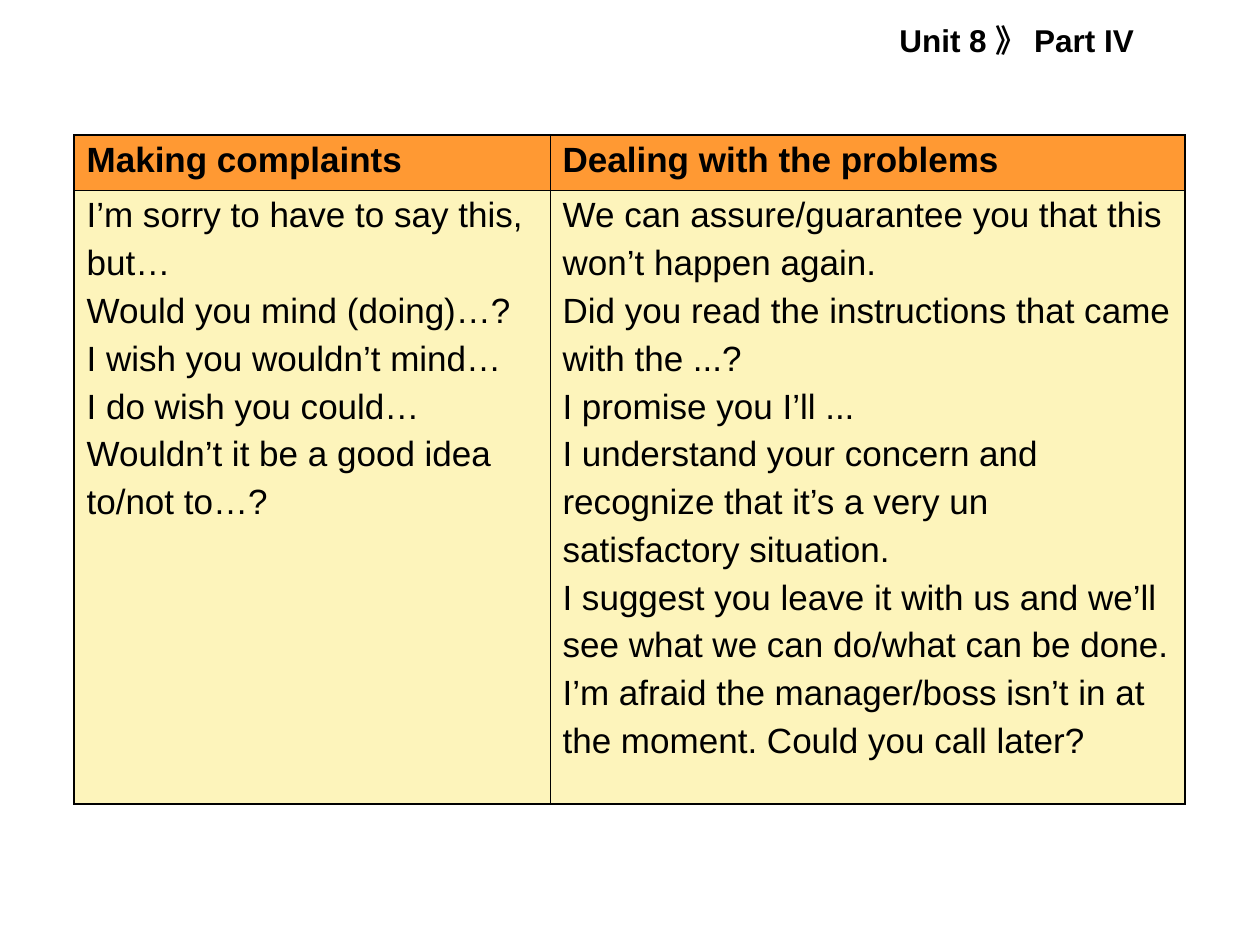
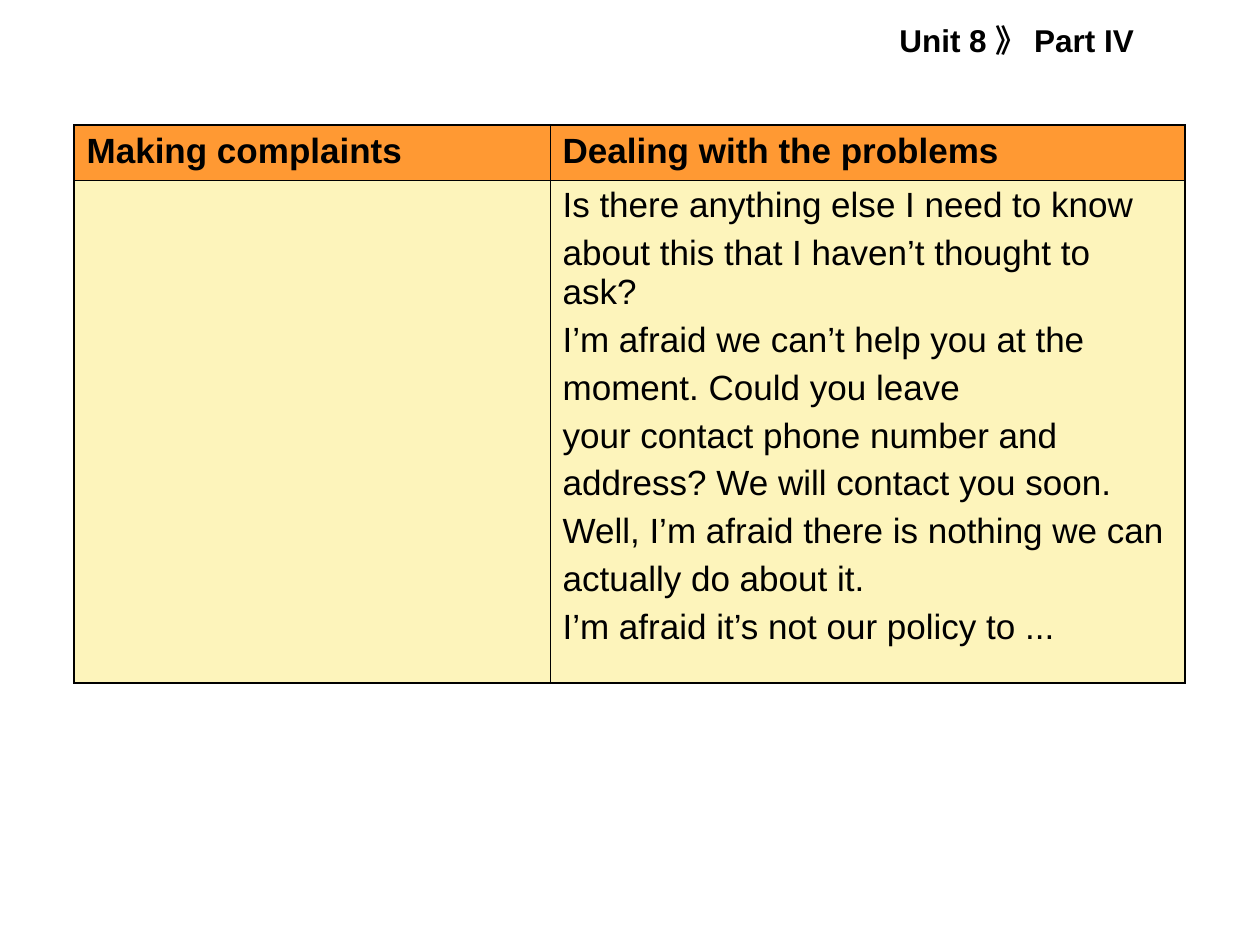
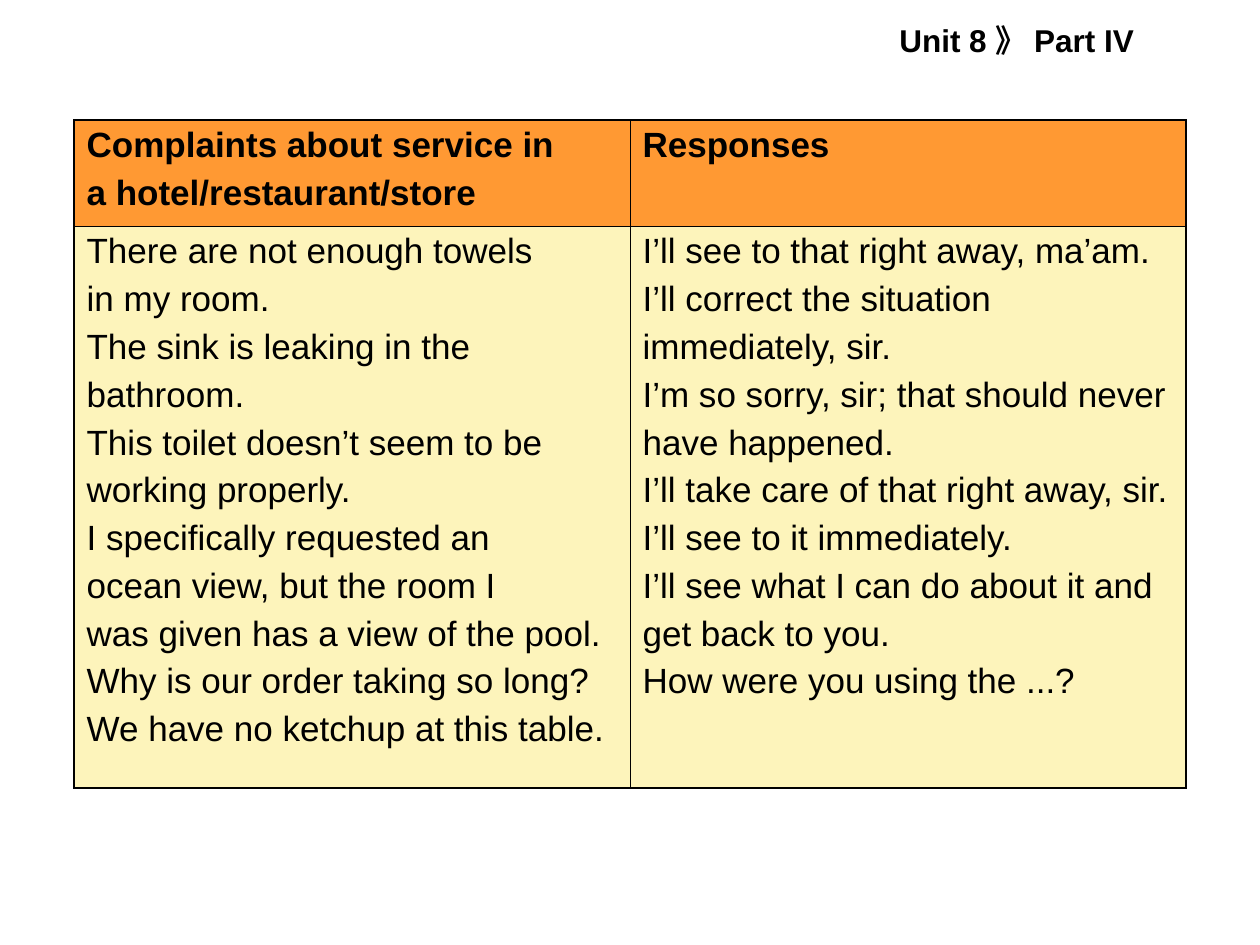
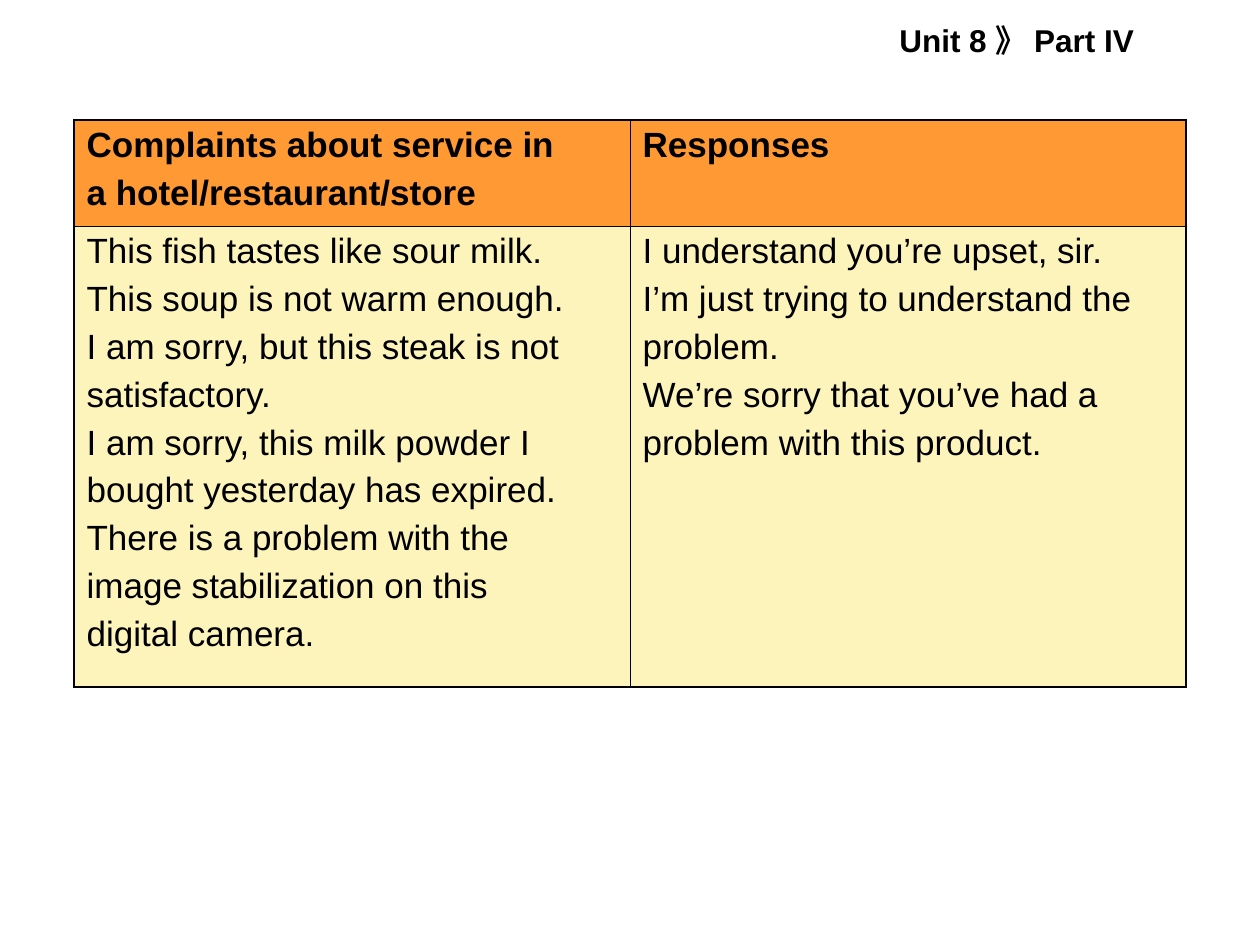
from lxml.etree import SubElement
from pptx import Presentation
from pptx.dml.color import RGBColor
from pptx.enum.text import MSO_AUTO_SIZE
from pptx.oxml.ns import qn
from pptx.util import Emu, Pt

PX_PER_INCH = 126
EMU_PER_PX = 914400 / PX_PER_INCH

BLACK = RGBColor(0x00, 0x00, 0x00)
ORANGE = RGBColor(0xFF, 0x99, 0x33)
CREAM = RGBColor(0xFD, 0xF4, 0xBB)
FONT = "Arial"
OUTER_LINE = Pt(1.08)
INNER_LINE = Pt(0.45)
TABLE_LEFT = 74

PROBLEM_HEADS = (
    ("Making complaints",),
    ("Dealing with the problems",),
)
SERVICE_HEADS = (
    ("Complaints about service in", "a hotel/restaurant/store"),
    ("Responses",),
)
PROBLEM_COLUMNS = (476, 635)
SERVICE_COLUMNS = (556, 556)

COMPLAINTS = (
    "I’m sorry to have to say this,",
    "but…",
    "Would you mind (doing)…?",
    "I wish you wouldn’t mind…",
    "I do wish you could…",
    "Wouldn’t it be a good idea",
    "to/not to…?",
)
ASSURANCES = (
    "We can assure/guarantee you that this",
    "won’t happen again.",
    "Did you read the instructions that came",
    "with the ...?",
    "I promise you I’ll ...",
    "I understand your concern and",
    "recognize that it’s a very un",
    "satisfactory situation.",
    "I suggest you leave it with us and we’ll",
    "see what we can do/what can be done.",
    "I’m afraid the manager/boss isn’t in at",
    "the moment. Could you call later?",
)
REFUSALS = (
    "Is there anything else I need to know",
    "about this that I haven’t thought to ask?",
    "I’m afraid we can’t help you at the",
    "moment. Could you leave",
    "your contact phone number and",
    "address? We will contact you soon.",
    "Well, I’m afraid there is nothing we can",
    "actually do about it.",
    "I’m afraid it’s not our policy to ...",
)
HOTEL_COMPLAINTS = (
    "There are not enough towels",
    "in my room.",
    "The sink is leaking in the",
    "bathroom.",
    "This toilet doesn’t seem to be",
    "working properly.",
    "I specifically requested an",
    "ocean view, but the room I",
    "was given has a view of the pool.",
    "Why is our order taking so long?",
    "We have no ketchup at this table.",
)
HOTEL_RESPONSES = (
    "I’ll see to that right away, ma’am.",
    "I’ll correct the situation",
    "immediately, sir.",
    "I’m so sorry, sir; that should never",
    "have happened.",
    "I’ll take care of that right away, sir.",
    "I’ll see to it immediately.",
    "I’ll see what I can do about it and",
    "get back to you.",
    "How were you using the ...?",
)
STORE_COMPLAINTS = (
    "This fish tastes like sour milk.",
    "This soup is not warm enough.",
    "I am sorry, but this steak is not",
    "satisfactory.",
    "I am sorry, this milk powder I",
    "bought yesterday has expired.",
    "There is a problem with the",
    "image stabilization on this",
    "digital camera.",
)
STORE_RESPONSES = (
    "I understand you’re upset, sir.",
    "I’m just trying to understand the",
    "problem.",
    "We’re sorry that you’ve had a",
    "problem with this product.",
)

# Each slide: table top, column widths, row heights, heads, phrases
PHRASE_TABLES = (
    (135, PROBLEM_COLUMNS, (55, 614), PROBLEM_HEADS, (COMPLAINTS, ASSURANCES)),
    (125, PROBLEM_COLUMNS, (55, 503), PROBLEM_HEADS, ((), REFUSALS)),
    (120, SERVICE_COLUMNS, (106, 562), SERVICE_HEADS,
     (HOTEL_COMPLAINTS, HOTEL_RESPONSES)),
    (120, SERVICE_COLUMNS, (106, 461), SERVICE_HEADS,
     (STORE_COMPLAINTS, STORE_RESPONSES)),
)


def px(length):
    return Emu(round(length * EMU_PER_PX))


def write_lines(frame, lines, size, bold):
    """Write one paragraph per line, spaced from the second one on."""
    for index, line in enumerate(lines):
        para = frame.add_paragraph() if index else frame.paragraphs[0]
        if index:
            para.space_before = Pt(5)
        span = para.add_run()
        span.text = line
        span.font.name = FONT
        span.font.size = Pt(size)
        span.font.bold = bold
        span.font.color.rgb = BLACK


def add_unit_header(page):
    box = page.shapes.add_textbox(px(887), px(15), px(276), px(50))
    frame = box.text_frame
    frame.word_wrap = False
    frame.auto_size = MSO_AUTO_SIZE.SHAPE_TO_FIT_TEXT
    write_lines(frame, ["Unit 8 》 Part IV"], 18, True)


def set_borders(cell, outer_sides):
    """Draw all four borders, heavier on the table's outer sides."""
    properties = cell._tc.get_or_add_tcPr()
    for side in "LRTB":
        width = OUTER_LINE if side in outer_sides else INNER_LINE
        line = SubElement(properties, qn(f"a:ln{side}"), w=str(width))
        fill = SubElement(line, qn("a:solidFill"))
        SubElement(fill, qn("a:srgbClr"), val=str(BLACK))


def add_phrase_table(page, top, widths, heights, heads, phrases):
    frame = page.shapes.add_table(2, 2, px(TABLE_LEFT), px(top),
                                  px(sum(widths)), px(sum(heights)))
    table = frame.table
    table.first_row = False
    table.horz_banding = False
    for column, width in zip(table.columns, widths):
        column.width = px(width)
    for row, height in zip(table.rows, heights):
        row.height = px(height)

    for row_index, texts in enumerate((heads, phrases)):
        is_head = row_index == 0
        for column_index, lines in enumerate(texts):
            cell = table.cell(row_index, column_index)
            set_borders(cell, "TB"[row_index] + "LR"[column_index])
            cell.fill.solid()
            cell.fill.fore_color.rgb = ORANGE if is_head else CREAM
            write_lines(cell.text_frame, lines, 20, is_head)


def main():
    deck = Presentation()
    deck.slide_width, deck.slide_height = px(1260), px(945)
    blank = deck.slide_layouts[6]
    for phrase_table in PHRASE_TABLES:
        page = deck.slides.add_slide(blank)
        add_unit_header(page)
        add_phrase_table(page, *phrase_table)
    deck.save("out.pptx")


if __name__ == "__main__":
    main()
